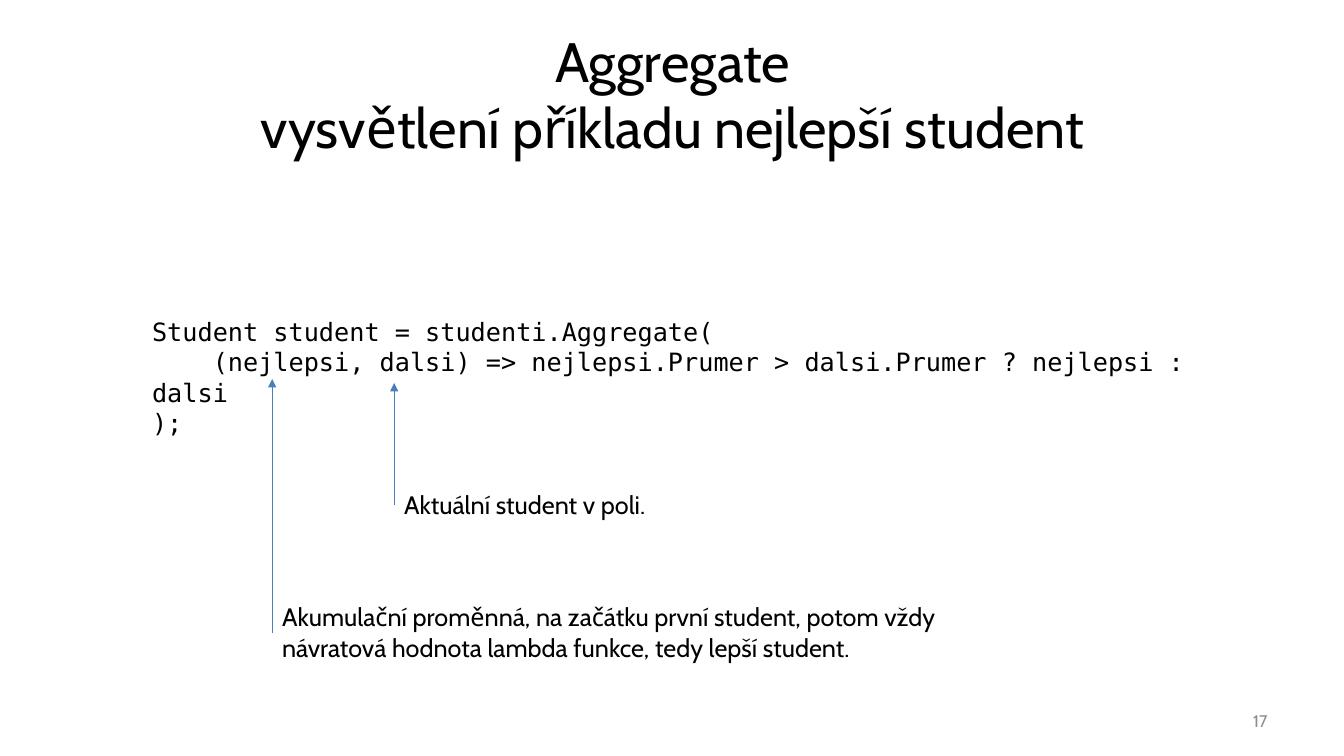
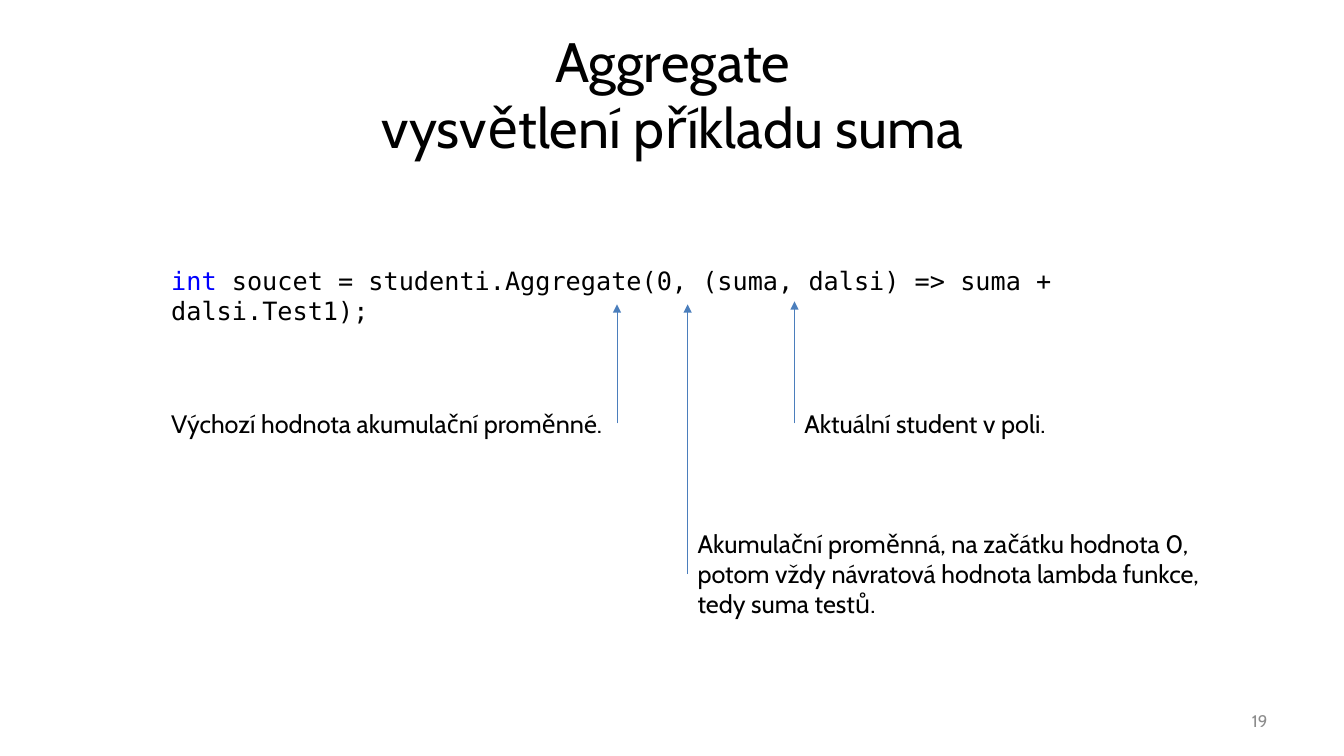
from lxml import etree
from pptx import Presentation
from pptx.dml.color import RGBColor
from pptx.enum import shapes, text
from pptx.oxml.ns import qn
from pptx.util import Inches, Pt

SANS, MONO = "Cabin", "DejaVu Sans Mono"
BLACK, GREY, BLUE, ARROW = "000000", "8C8C8C", "0000FF", "4B7EBC"
LEFT, RIGHT = 1, 3

SLIDES = [
    {
        "title": "Aggregate\vvysvětlení příkladu nejlepší student",
        "number": "17",
        "at": (1.41, 3.09, 10.51, 1.01),
        "code": [
            [("Student student = studenti.Aggregate(", BLACK)],
            [("    (nejlepsi, dalsi) => nejlepsi.Prumer > dalsi.Prumer ? nejlepsi : dalsi", BLACK)],
            [(");", BLACK)],
        ],
        "notes": [
            ("Akumulační proměnná, na začátku první student, potom vždy "
             "návratová hodnota lambda funkce, tedy lepší student.",
             (2.7, 5.92, 7.34, 0.71), LEFT, 3.76),
            ("Aktuální student v poli.", (3.91, 4.81, 2.75, 0.4), LEFT, 3.8),
        ],
    },
    {
        "title": "Aggregate\vvysvětlení příkladu suma",
        "number": "19",
        "at": (1.6, 2.58, 10.13, 0.4),
        "code": [
            [("int ", BLUE),
             ("soucet = studenti.Aggregate(0, (suma, dalsi) => suma + dalsi.Test1);", BLACK)],
        ],
        "notes": [
            ("Akumulační proměnná, na začátku hodnota 0, potom vždy "
             "návratová hodnota lambda funkce, tedy suma testů.",
             (6.82, 5.19, 5.54, 1.01), LEFT, 3.02),
            ("Aktuální student v poli.", (7.88, 4, 2.75, 0.4), LEFT, 2.99),
            ("Výchozí hodnota akumulační proměnné.", (1.6, 4, 4.52, 0.4), RIGHT, 3.02),
        ],
    },
]


def color(code):
    return RGBColor.from_string(code)


def style(font, name, size, code=BLACK):
    font.name, font.size = name, Pt(size)
    font.color.rgb = color(code)


def add_box(slide, at, lines, name=SANS, size=18):
    box = slide.shapes.add_textbox(*map(Inches, at))
    frame = box.text_frame
    frame.word_wrap = True
    frame.auto_size = text.MSO_AUTO_SIZE.SHAPE_TO_FIT_TEXT
    for i, line in enumerate(lines):
        para = frame.add_paragraph() if i else frame.paragraphs[0]
        style(para.font, name, size)
        for words, code in line:
            run = para.add_run()
            run.text = words
            style(run.font, name, size, code)
    return box


def add_title(slide, words):
    title = slide.shapes.title
    title.text = words
    frame = title.text_frame
    frame.auto_size = text.MSO_AUTO_SIZE.NONE
    frame.vertical_anchor = text.MSO_ANCHOR.MIDDLE
    para = frame.paragraphs[0]
    para.alignment = text.PP_ALIGN.CENTER
    style(para.font, SANS, 39.6)


def add_number(slide, words):
    box = add_box(slide, (9.56, 6.95, 3.11, 0.4), [[(words, GREY)]], size=12)
    frame = box.text_frame
    frame.auto_size = text.MSO_AUTO_SIZE.NONE
    frame.vertical_anchor = text.MSO_ANCHOR.MIDDLE
    frame.paragraphs[0].alignment = text.PP_ALIGN.RIGHT


def add_note(slide, words, at, side, tip):
    box = add_box(slide, at, [[(words, BLACK)]])
    x = box.left + (box.width if side == RIGHT else 0)
    y = box.top + box.height // 2
    arrow = slide.shapes.add_connector(
        shapes.MSO_CONNECTOR.STRAIGHT, x, y, x, Inches(tip))
    arrow.begin_connect(box, side)
    arrow.line.color.rgb = color(ARROW)
    arrow.line.width = Pt(0.75)
    etree.SubElement(arrow.line._get_or_add_ln(), qn("a:tailEnd"), type="triangle")
    etree.SubElement(arrow._element.spPr, qn("a:effectLst"))


def main():
    deck = Presentation()
    deck.slide_width, deck.slide_height = Inches(13.33), Inches(7.5)
    layout = deck.slide_layouts[5]
    head = layout.placeholders[0]
    head.left, head.top, head.width, head.height = map(Inches, (0.67, 0.3, 12, 1.25))
    for page in SLIDES:
        slide = deck.slides.add_slide(layout)
        add_title(slide, page["title"])
        add_number(slide, page["number"])
        add_box(slide, page["at"], page["code"], MONO)
        for note in page["notes"]:
            add_note(slide, *note)
    deck.save("out.pptx")


if __name__ == "__main__":
    main()
